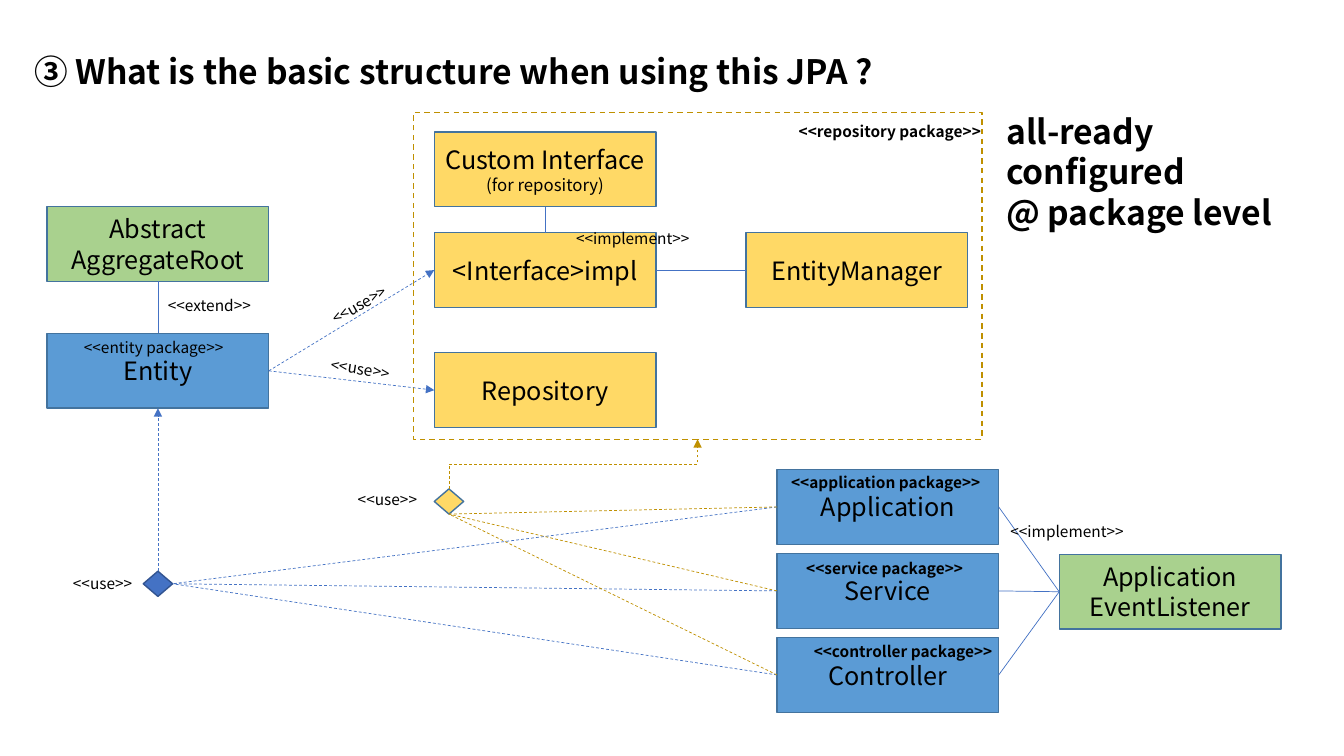
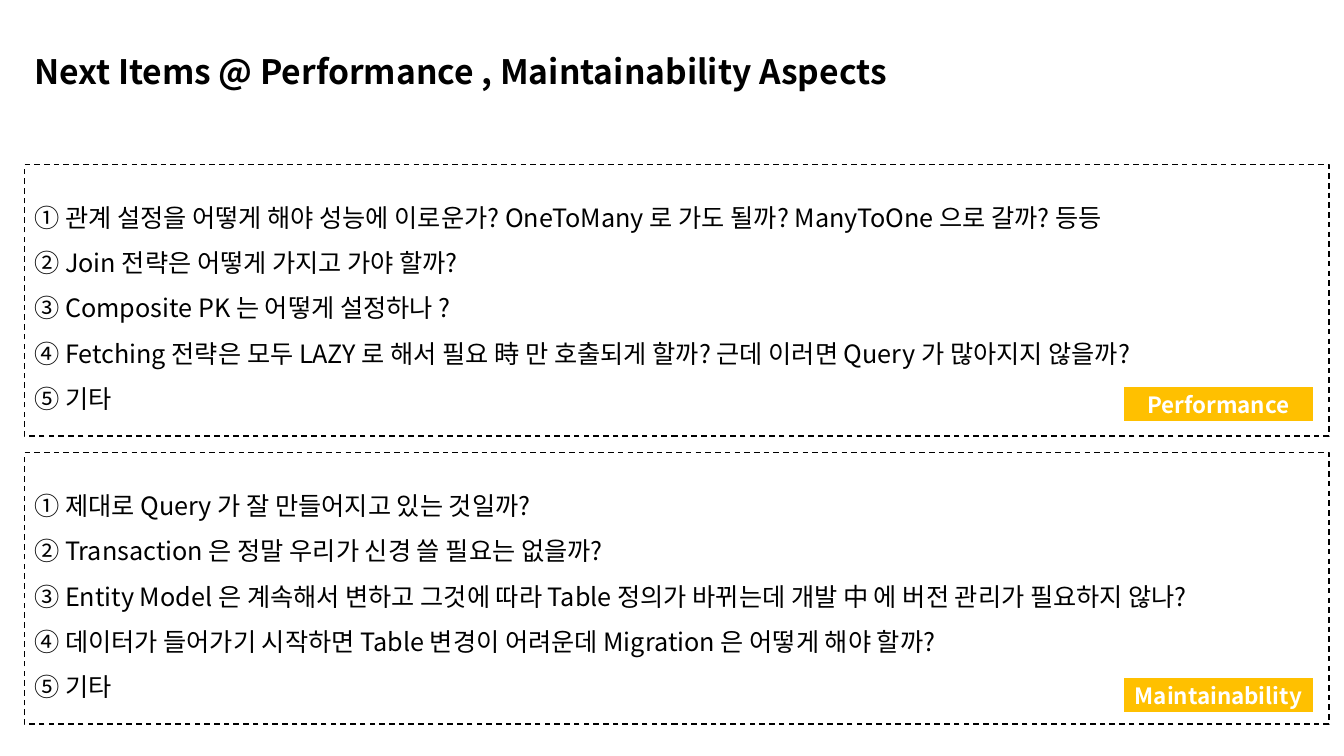
import lxml.etree
import pptx
import pptx.dml.color
import pptx.enum.dml
import pptx.enum.shapes
import pptx.enum.text
import pptx.oxml.ns
import pptx.util

SHAPES = pptx.enum.shapes.MSO_SHAPE
CONNECTORS = pptx.enum.shapes.MSO_CONNECTOR
ALIGN = pptx.enum.text.PP_ALIGN
ANCHOR = pptx.enum.text.MSO_ANCHOR
AUTO_SIZE = pptx.enum.text.MSO_AUTO_SIZE
DASH = pptx.enum.dml.MSO_LINE.DASH
TOP, LEFT, BOTTOM, RIGHT = range(4)

COLORS = {
    "text": "000000", "white": "FFFFFF", "blue": "5B9BD5", "yellow": "FFD966",
    "green": "A9D18E", "outline": "43739E", "link": "4472C4", "deep": "325491",
    "gold": "BF9000", "badge": "FFC000",
}
FONT = "Noto Sans CJK KR"
COLUMNS, ROWS = 160, 90
BOX_WIDTH, BOX_HEIGHT = 26.4, 8.9
PANEL_LEFT, PANEL_WIDTH = 2.9, 155.3


def color(name):
    return pptx.dml.color.RGBColor.from_string(COLORS[name])


def apply(target, values):
    for name, value in values.items():
        setattr(target, name, value)


class Deck:
    def __init__(self):
        self.presentation = pptx.Presentation()
        self.presentation.slide_width = pptx.util.Inches(13.33)
        self.presentation.slide_height = pptx.util.Inches(7.5)
        self.slide = None

    def place(self, column, row, width, height):
        across = self.presentation.slide_width / COLUMNS
        down = self.presentation.slide_height / ROWS
        return [round(value) for value in (column * across, row * down, width * across, height * down)]

    def start(self, title):
        self.slide = self.presentation.slides.add_slide(self.presentation.slide_layouts[6])
        self.text([title], PANEL_LEFT, 2, PANEL_WIDTH, 10.4, sizes=[24], bold=True,
                  paragraph_format={"line_spacing": 1.5},
                  frame_format={"word_wrap": True, "vertical_anchor": ANCHOR.MIDDLE})

    def fill_text(self, shape, lines, sizes, ink="text", bold=False, paragraph_format=None, frame_format=None):
        frame = shape.text_frame
        apply(frame, frame_format or {})
        for index, line in enumerate(lines):
            paragraph = frame.add_paragraph() if index else frame.paragraphs[0]
            apply(paragraph, paragraph_format or {})
            run = paragraph.add_run()
            run.text = line
            size = sizes[min(index, len(sizes) - 1)]
            apply(run.font, {"name": FONT, "size": pptx.util.Pt(size), "bold": bold})
            run.font.color.rgb = color(ink)
            east_asian = lxml.etree.SubElement(run.font._element, pptx.oxml.ns.qn("a:ea"))
            east_asian.set("typeface", FONT)

    def text(self, lines, column, row, width, height, **style):
        shape = self.slide.shapes.add_textbox(*self.place(column, row, width, height))
        self.fill_text(shape, lines, **style)
        return shape

    def label(self, text, column, row, width, bold=False, rotation=0):
        shape = self.text([text], column, row, width, 3.5, sizes=[11], bold=bold,
                          frame_format={"word_wrap": False, "auto_size": AUTO_SIZE.SHAPE_TO_FIT_TEXT})
        shape.rotation = rotation

    def shape(self, kind, column, row, width, height, fill=None, line="outline", weight=1, dash=None):
        shape = self.slide.shapes.add_shape(kind, *self.place(column, row, width, height))
        shape.shadow.inherit = False
        if fill:
            shape.fill.solid()
            shape.fill.fore_color.rgb = color(fill)
        else:
            shape.fill.background()
        self.stroke(shape.line, line, weight, dash)
        return shape

    def stroke(self, line, name, weight, dash):
        line.color.rgb = color(name)
        apply(line, {"width": pptx.util.Pt(weight), "dash_style": dash})

    def box(self, lines, column, row, fill, sizes=(18,)):
        shape = self.shape(SHAPES.RECTANGLE, column, row, BOX_WIDTH, BOX_HEIGHT, fill)
        self.fill_text(shape, lines, sizes, paragraph_format={"alignment": ALIGN.CENTER},
                       frame_format={"vertical_anchor": ANCHOR.MIDDLE})
        return shape

    def diamond(self, column, row, fill, line):
        return self.shape(SHAPES.FLOWCHART_DECISION, column, row, 3.5, 3, fill, line)

    def connect(self, start, start_side, end, end_side, line="link", dash=None, arrow=False,
                kind=CONNECTORS.STRAIGHT):
        connector = self.slide.shapes.add_connector(kind, 0, 0, 0, 0)
        connector.begin_connect(start, start_side)
        connector.end_connect(end, end_side)
        self.stroke(connector.line, line, 0.5, dash)
        if arrow:
            tail = lxml.etree.SubElement(connector.line._get_or_add_ln(), pptx.oxml.ns.qn("a:tailEnd"))
            tail.set("type", "triangle")
        lxml.etree.SubElement(connector._element.spPr, pptx.oxml.ns.qn("a:effectLst"))
        return connector

    def rising_elbow(self, *ends, **style):
        connector = self.connect(*ends, kind=CONNECTORS.ELBOW, **style)
        left, top, width, height = connector.left, connector.top, connector.width, connector.height
        apply(connector, {"left": left + (width - height) // 2, "top": top + (height - width) // 2,
                          "width": height, "height": width})
        for name, value in {"rot": "5400000", "flipH": "1", "flipV": "1"}.items():
            connector._element.spPr.xfrm.set(name, value)

    def panel(self, lines, row, caption, caption_row):
        panel = self.shape(SHAPES.RECTANGLE, PANEL_LEFT, row, PANEL_WIDTH, 32.3, line="text", dash=DASH)
        self.fill_text(panel, lines, [18],
                       paragraph_format={"line_spacing": 1.5, "alignment": ALIGN.LEFT},
                       frame_format={"vertical_anchor": ANCHOR.MIDDLE})
        badge = self.shape(SHAPES.RECTANGLE, 133.7, caption_row, 22.7, 4.3, "badge", "white", 1.5)
        self.fill_text(badge, [caption], [16], "white", True, {"alignment": ALIGN.CENTER},
                       {"vertical_anchor": ANCHOR.MIDDLE})


def build_structure(deck):
    deck.start("③ What is the basic structure when using this JPA ?")
    package = deck.shape(SHAPES.RECTANGLE, 49.2, 13.4, 67.7, 38.9, line="gold", dash=DASH)
    entity = deck.box(["Entity"], 5.6, 39.7, "blue")
    repository = deck.box(["Repository"], 51.7, 42, "yellow")
    root = deck.box(["Abstract", "AggregateRoot"], 5.6, 24.6, "green")
    custom = deck.box(["Custom Interface", "(for repository)"], 51.7, 15.7, "yellow", (18, 12))
    implementation = deck.box(["<Interface>impl"], 51.7, 27.7, "yellow")
    manager = deck.box(["EntityManager"], 88.8, 27.7, "yellow")
    users = [deck.box([name], 92.5, 55.9 + 10 * index, "blue")
             for index, name in enumerate(["Application", "Service", "Controller"])]
    listener = deck.box(["Application", "EventListener"], 126.1, 66, "green")
    entity_use = deck.diamond(17.05, 68, "link", "deep")
    package_use = deck.diamond(51.7, 58.2, "yellow", "outline")

    deck.connect(implementation, RIGHT, manager, LEFT)
    deck.connect(custom, BOTTOM, implementation, TOP)
    deck.connect(root, BOTTOM, entity, TOP)
    for target in (implementation, repository):
        deck.connect(entity, RIGHT, target, LEFT, dash=DASH, arrow=True)
    for user in users:
        deck.connect(user, RIGHT, listener, LEFT)
        deck.connect(user, LEFT, entity_use, RIGHT, dash=DASH)
        deck.connect(user, LEFT, package_use, BOTTOM, line="gold", dash=DASH)
    deck.connect(entity_use, TOP, entity, BOTTOM, dash=DASH, arrow=True)
    deck.rising_elbow(package_use, TOP, package, BOTTOM, line="gold", dash=DASH, arrow=True)

    for name, column, row, width, bold in [
        ("repository package", 93.9, 14, 24.7, True),
        ("entity package", 8.8, 39.7, 19.9, False),
        ("application package", 93, 55.7, 25.4, True),
        ("service package", 94.8, 66, 21.7, True),
        ("controller package", 95.7, 75.8, 24.2, True),
        ("extend", 18.8, 34.6, 13.3, False),
        ("implement", 119.1, 61.6, 16.6, False),
        ("implement", 67.4, 26.7, 16.6, False),
    ]:
        deck.label(f"<<{name}>>", column, row, width, bold)
    for column, row, rotation in [(38, 34.3, 330.3), (38.2, 42.3, 8.8), (7.5, 67.7, 0), (41.4, 57.7, 0)]:
        deck.label("<<use>>", column, row, 10.6, rotation=rotation)
    deck.text(["all-ready configured", "@ package level"], 118.6, 12.6, 41.4, 10.9,
              sizes=[24], bold=True, frame_format={"word_wrap": True})


def build_next_items(deck):
    deck.start("Next Items @ Performance , Maintainability Aspects")
    deck.panel([
        "① 관계 설정을 어떻게 해야 성능에 이로운가? OneToMany 로 가도 될까? ManyToOne 으로 갈까? 등등",
        "② Join 전략은 어떻게 가지고 가야 할까?",
        "③ Composite PK 는 어떻게 설정하나 ?",
        "④ Fetching 전략은 모두 LAZY 로 해서 필요 時 만 호출되게 할까? 근데 이러면 Query 가 많아지지 않을까?",
        "⑤ 기타",
    ], 19.6, "Performance", 46)
    deck.panel([
        "① 제대로 Query 가 잘 만들어지고 있는 것일까?",
        "② Transaction 은 정말 우리가 신경 쓸 필요는 없을까?",
        "③ Entity Model 은 계속해서 변하고 그것에 따라 Table 정의가 바뀌는데 개발 中 에 버전 관리가 필요하지 않나?",
        "④ 데이터가 들어가기 시작하면 Table 변경이 어려운데 Migration 은 어떻게 해야 할까?",
        "⑤ 기타",
    ], 53.9, "Maintainability", 80.6)


def main():
    deck = Deck()
    build_structure(deck)
    build_next_items(deck)
    deck.presentation.save("out.pptx")


if __name__ == "__main__":
    main()
